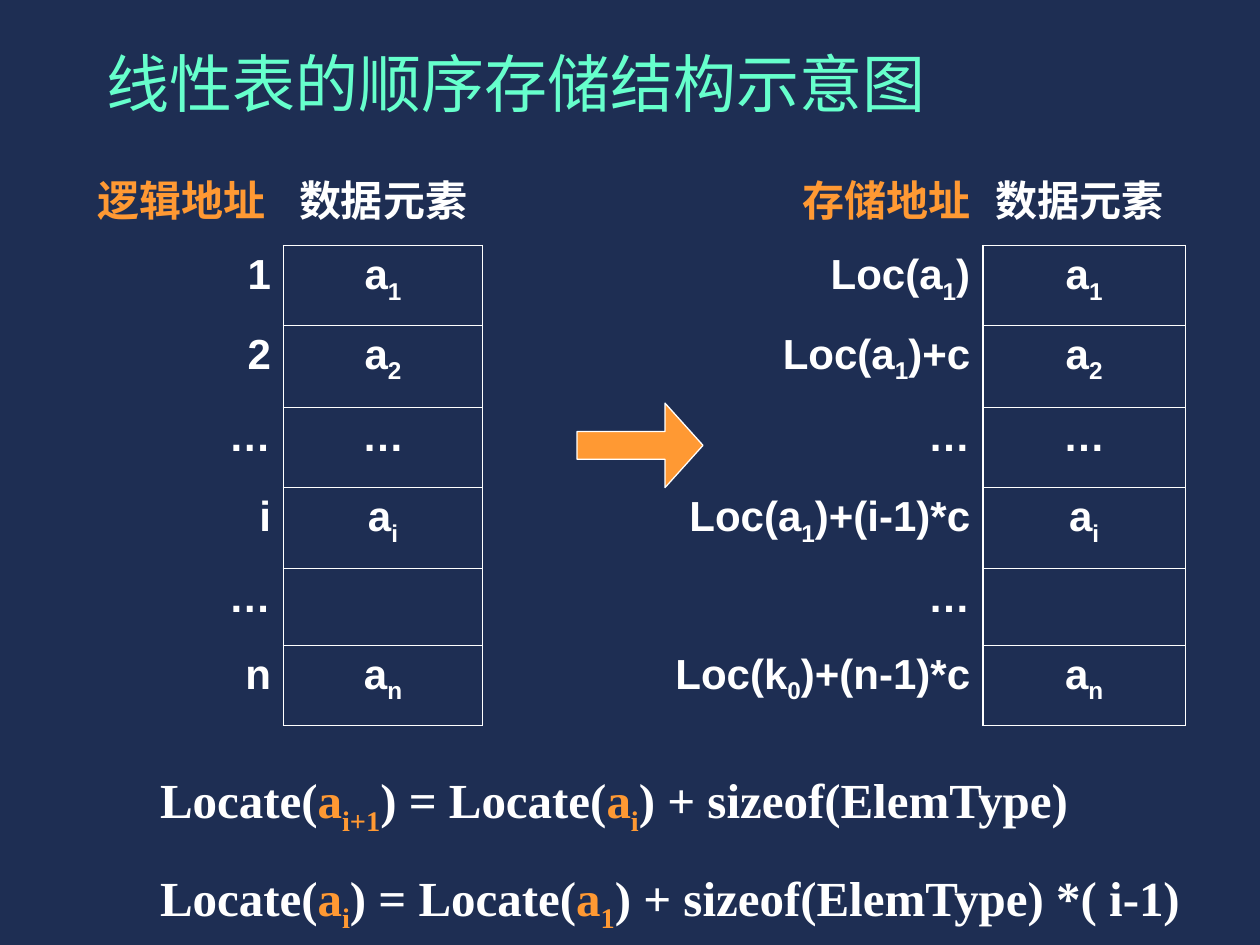
"""Build a slide on the sequential storage of a linear list."""
from itertools import cycle

from lxml import etree
from pptx import Presentation
from pptx import util as u
from pptx.dml import color
from pptx.enum import shapes, text
from pptx.oxml import ns

NAVY, WHITE, ORANGE, MINT = "1E2E53", "FFFFFF", "FF9933", "66FFCC"
CHINESE, LATIN, SERIF = "Noto Sans CJK SC", "Arial", "Times New Roman"
LEFT, CENTER, RIGHT = text.PP_ALIGN.LEFT, text.PP_ALIGN.CENTER, text.PP_ALIGN.RIGHT
PLAIN, SUB = (None, False), (None, True)
ACCENT, ACCENT_SUB = (ORANGE, False), (ORANGE, True)

TITLE = "线性表的顺序存储结构示意图"
HEADERS = [
    ("逻辑地址", ORANGE, LEFT),
    ("数据元素", WHITE, CENTER),
    ("", WHITE, LEFT),
    ("存储地址", ORANGE, RIGHT),
    ("数据元素", WHITE, LEFT),
]
ELEMENTS = [
    ("1", "a|1", "Loc(a|1|)"),
    ("2", "a|2", "Loc(a|1|)+c"),
    ("…", "…", "…"),
    ("i", "a|i", "Loc(a|1|)+(i-1)*c"),
    ("…", "", "…"),
    ("n", "a|n", "Loc(k|0|)+(n-1)*c"),
]
FORMULAS = [
    "Locate(|a|i+1|) = Locate(|a|i|) + sizeof(ElemType)",
    "Locate(|a|i|) = Locate(|a|1|) + sizeof(ElemType) *( i-1)",
]
COLUMN_WIDTHS = [1.58, 1.58, 1.33, 2.64, 1.61]
ROW_HEIGHTS = [0.67, 0.63, 0.65, 0.64, 0.64, 0.61, 0.64]
BOXED_COLUMNS = (1, 4)
NO_TABLE_STYLE = "{2D5ABB26-0587-4C30-8999-92F81FD0307C}"


def rgb(value):
    return color.RGBColor.from_string(value)


def write(para, content, *, size=24, font=LATIN, ink=WHITE, bold=True,
          align=LEFT, styles=(PLAIN, SUB), before=0):
    para.alignment = align
    para.space_before = u.Pt(before)
    for piece, (accent, lowered) in zip(content.split("|"), cycle(styles)):
        if not piece:
            continue
        span = para.add_run()
        span.text = piece
        span.font.size = u.Pt(size)
        span.font.bold = bold
        span.font.color.rgb = rgb(accent or ink)
        span.font.name = font
        props = span.font._element
        etree.SubElement(props, ns.qn("a:ea"), typeface=font)
        if lowered:
            props.set("baseline", "-25000")


def add_border(cell, side, width):
    props = cell._tc.get_or_add_tcPr()
    line = etree.SubElement(props, ns.qn(f"a:ln{side}"), w=str(u.Pt(width)))
    fill = etree.SubElement(line, ns.qn("a:solidFill"))
    etree.SubElement(fill, ns.qn("a:srgbClr"), val=WHITE)


def add_text_box(page, left, top, width, height):
    box = page.shapes.add_textbox(*map(u.Inches, (left, top, width, height)))
    box.text_frame.word_wrap = True
    return box.text_frame


def add_address_table(page):
    rows, columns = len(ROW_HEIGHTS), len(COLUMN_WIDTHS)
    frame = page.shapes.add_table(
        rows, columns, u.Inches(0.67), u.Inches(1.28),
        u.Inches(sum(COLUMN_WIDTHS)), u.Inches(sum(ROW_HEIGHTS)))
    table = frame.table
    table.first_row = table.horz_banding = False
    table._tbl.tblPr.find(ns.qn("a:tableStyleId")).text = NO_TABLE_STYLE
    for column, width in zip(table.columns, COLUMN_WIDTHS):
        column.width = u.Inches(width)
    for row, height in zip(table.rows, ROW_HEIGHTS):
        row.height = u.Inches(height)

    for c, (label, ink, align) in enumerate(HEADERS):
        write(table.cell(0, c).text_frame.paragraphs[0], label,
              font=CHINESE, ink=ink, align=align)
    for r, (index, element, address) in enumerate(ELEMENTS, start=1):
        for c, content in enumerate((index, element, "", address, element)):
            write(table.cell(r, c).text_frame.paragraphs[0], content,
                  align=CENTER if c in BOXED_COLUMNS else RIGHT)

    for r in range(rows):
        for c in range(columns):
            cell = table.cell(r, c)
            if c in BOXED_COLUMNS and r > 0:
                add_border(cell, "L", 1.08)
                add_border(cell, "R", 1.08)
                add_border(cell, "T", 1.08 if r == 1 else 0.45)
                add_border(cell, "B", 1.08 if r == rows - 1 else 0.45)
            cell.fill.background()


def add_arrow(page):
    arrow = page.shapes.add_shape(
        shapes.MSO_SHAPE.RIGHT_ARROW, *map(u.Inches, (4.58, 3.2, 1, 0.67)))
    arrow.adjustments[0] = 0.33
    arrow.adjustments[1] = 0.45
    arrow.shadow.inherit = False
    arrow.fill.solid()
    arrow.fill.fore_color.rgb = rgb(ORANGE)
    arrow.line.color.rgb = rgb(WHITE)
    arrow.line.width = u.Pt(0.75)


def main():
    deck = Presentation()
    deck.slide_width, deck.slide_height = u.Inches(10), u.Inches(7.5)
    page = deck.slides.add_slide(deck.slide_layouts[6])
    page.background.fill.solid()
    page.background.fill.fore_color.rgb = rgb(NAVY)

    add_address_table(page)
    title = add_text_box(page, 0.75, 0, 8.5, 1)
    title.vertical_anchor = text.MSO_ANCHOR.BOTTOM
    write(title.paragraphs[0], TITLE, size=36, font=CHINESE, ink=MINT, bold=False)
    add_arrow(page)

    formulas = add_text_box(page, 0.5, 6.06, 9.25, 1.41)
    formulas.margin_left = u.Inches(0.77)
    for i, formula in enumerate(FORMULAS):
        para = formulas.add_paragraph() if i else formulas.paragraphs[0]
        write(para, formula, size=28, font=SERIF, before=17.5 if i else 0,
              styles=(PLAIN, ACCENT, ACCENT_SUB))
    deck.save("out.pptx")


if __name__ == "__main__":
    main()
